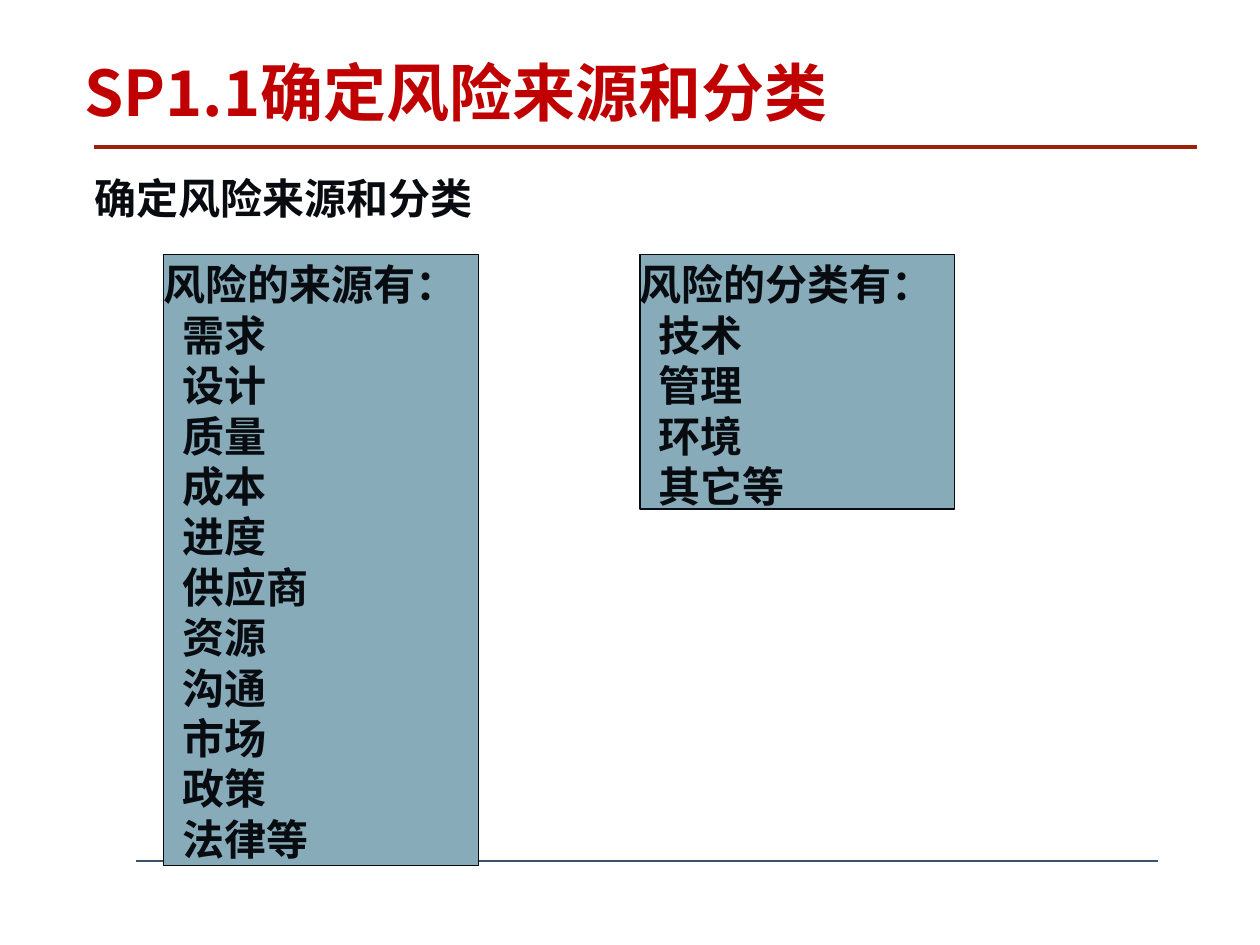
from lxml import etree
from pptx import Presentation
from pptx.dml.color import RGBColor
from pptx.enum.shapes import MSO_CONNECTOR, MSO_SHAPE
from pptx.enum.text import MSO_ANCHOR, PP_ALIGN
from pptx.oxml.ns import qn
from pptx.util import Cm, Pt

STRAIGHT = MSO_CONNECTOR.STRAIGHT
RECTANGLE = MSO_SHAPE.RECTANGLE
TOP = MSO_ANCHOR.TOP
LEFT = PP_ALIGN.LEFT

FONT = "Noto Sans CJK SC"
COLORS = {
    "title": "C00000",
    "text": "080C10",
    "panel": "87ABB9",
    "title_rule": "9C2108",
    "footer_rule": "39536B",
}


def color(name):
    return RGBColor.from_string(COLORS[name])


def write_lines(frame, lines, size, color_name, spacing, top_inset):
    """Fill a frame; every line after the first is indented."""
    frame_format = {
        "word_wrap": True, "vertical_anchor": TOP, "margin_left": 0,
        "margin_right": 0, "margin_top": Cm(top_inset), "margin_bottom": 0,
    }
    for attribute, value in frame_format.items():
        setattr(frame, attribute, value)
    for index, line in enumerate(lines):
        paragraph = frame.paragraphs[0] if index == 0 else frame.add_paragraph()
        paragraph.alignment = LEFT
        paragraph.line_spacing = Pt(spacing)
        if index:
            paragraph._p.get_or_add_pPr().set("marL", str(Cm(0.38)))
        run = paragraph.add_run()
        run.text = line
        for attribute, value in {"name": FONT, "size": Pt(size), "bold": True}.items():
            setattr(run.font, attribute, value)
        run.font.color.rgb = color(color_name)
        east_asian = etree.SubElement(run._r.get_or_add_rPr(), qn("a:ea"))
        east_asian.set("typeface", FONT)


presentation = Presentation()
presentation.slide_width = Cm(25.4)
presentation.slide_height = Cm(19.05)
slide = presentation.slides.add_slide(presentation.slide_layouts[6])

# Rules at the foot and below the title
for start, end, y, color_name, width in [
    (2.74, 23.34, 17.35, "footer_rule", 1),
    (1.9, 24.13, 2.97, "title_rule", 2.25),
]:
    rule = slide.shapes.add_connector(STRAIGHT, Cm(start), Cm(y), Cm(end), Cm(y))
    rule.line.color.rgb = color(color_name)
    rule.line.width = Pt(width)
    etree.SubElement(rule._element.spPr, qn("a:effectLst"))

# Title and subtitle
for text, x, y, height, size, color_name, spacing, top_inset in [
    ("SP1.1确定风险来源和分类", 1.7, 1.12, 1.55, 36, "title", 42, 0),
    ("确定风险来源和分类", 1.9, 3.38, 1.2, 24, "text", 28.8, 0.09),
]:
    heading = slide.shapes.add_textbox(Cm(x), Cm(y), Cm(22.23), Cm(height))
    write_lines(heading.text_frame, [text], size, color_name, spacing, top_inset)

# Panels of risk sources and risk categories
sources = ["风险的来源有：", "需求", "设计", "质量", "成本", "进度", "供应商",
           "资源", "沟通", "市场", "政策", "法律等"]
categories = ["风险的分类有：", "技术", "管理", "环境", "其它等"]
for lines, x, height in [(sources, 3.3, 12.32), (categories, 12.9, 5.13)]:
    panel = slide.shapes.add_shape(RECTANGLE, Cm(x), Cm(5.13), Cm(6.35), Cm(height))
    panel.shadow.inherit = False
    panel.fill.solid()
    panel.fill.fore_color.rgb = color("panel")
    panel.line.color.rgb = color("text")
    panel.line.width = Pt(0.75)
    write_lines(panel.text_frame, lines, 24, "text", 28.8, 0.09)

presentation.save("out.pptx")
